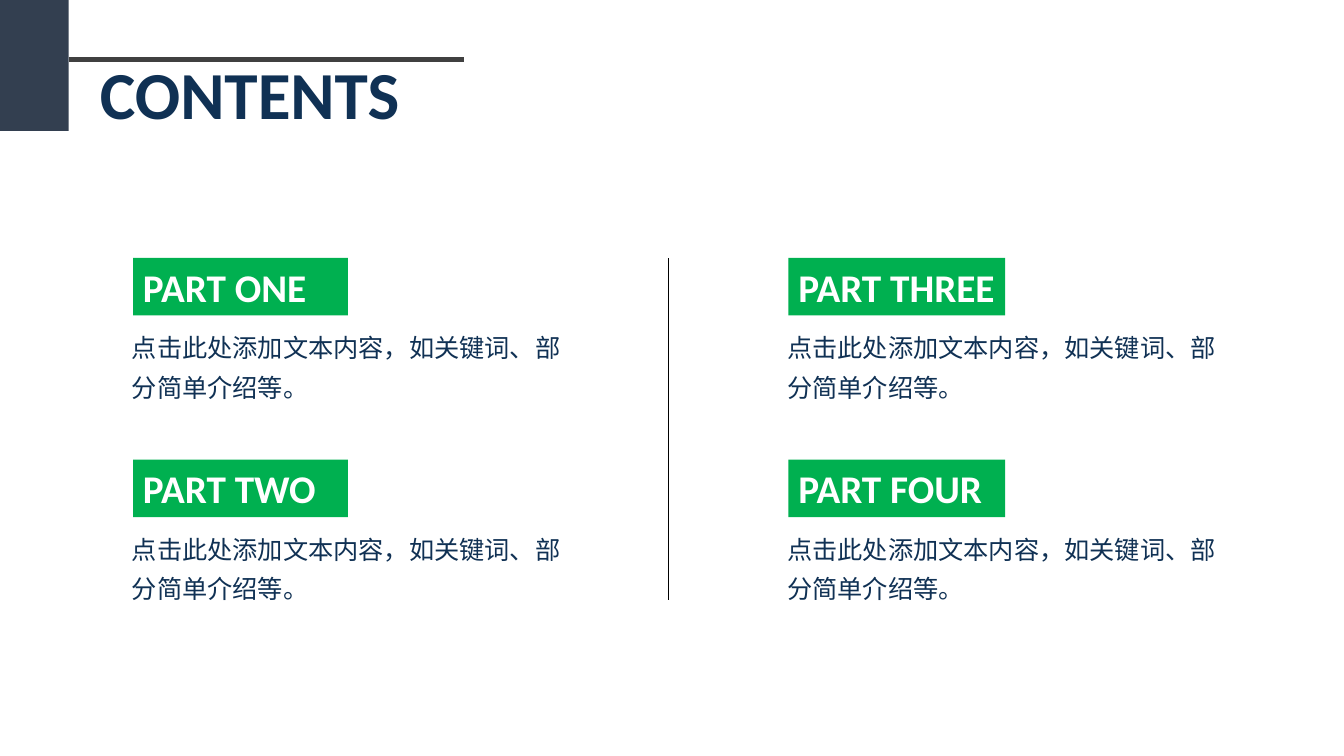
from dataclasses import dataclass

from lxml import etree
from pptx import Presentation
from pptx.dml.color import RGBColor
from pptx.enum.shapes import MSO_CONNECTOR, MSO_SHAPE
from pptx.enum.text import MSO_ANCHOR, MSO_AUTO_SIZE, PP_ALIGN
from pptx.oxml.ns import qn
from pptx.util import Inches, Pt

RECTANGLE = MSO_SHAPE.RECTANGLE
STRAIGHT = MSO_CONNECTOR.STRAIGHT
TOP = MSO_ANCHOR.TOP
LEFT = PP_ALIGN.LEFT
NO_AUTOFIT = MSO_AUTO_SIZE.NONE
TITLE_ONLY = 5


@dataclass(frozen=True)
class Theme:
    navy: str = "103154"
    green: str = "00B050"
    slate: str = "333F50"
    gray: str = "404040"
    black: str = "000000"
    white: str = "FFFFFF"
    latin_font: str = "Calibri"
    chinese_font: str = "Noto Sans CJK SC"
    title_size: int = 48
    label_size: int = 28
    body_size: int = 18


THEME = Theme()
DESCRIPTION = "点击此处添加文本内容，如关键词、部分简单介绍等。"
# Each column: left edge, label width, labels from top to bottom
COLUMNS = [
    (1.32, 2.13, ["PART ONE", "PART TWO"]),
    (7.82, 2.15, ["PART THREE", "PART FOUR"]),
]
COLUMNS_TOP = 2.56
PART_PITCH = 2.0


def write_text(shape, text, size, color, font_name, bold=False):
    """Set one left-aligned paragraph, in the same font for Latin and Chinese."""
    frame = shape.text_frame
    frame.text = text
    frame.vertical_anchor = TOP
    frame.auto_size = NO_AUTOFIT
    paragraph = frame.paragraphs[0]
    paragraph.alignment = LEFT
    run = paragraph.runs[0]
    run.font.size = Pt(size)
    run.font.bold = bold
    run.font.color.rgb = RGBColor.from_string(color)
    run.font.name = font_name
    east_asian = etree.SubElement(run.font._element, qn("a:ea"))
    east_asian.set("typeface", font_name)
    return paragraph


def add_rectangle(slide, left, top, width, height, color):
    shape = slide.shapes.add_shape(
        RECTANGLE, Inches(left), Inches(top), Inches(width), Inches(height))
    shape.shadow.inherit = False
    shape.fill.solid()
    shape.fill.fore_color.rgb = RGBColor.from_string(color)
    shape.line.fill.background()
    return shape


def add_line(slide, start, end, color, width):
    line = slide.shapes.add_connector(
        STRAIGHT, *(Inches(length) for length in (*start, *end)))
    line.line.color.rgb = RGBColor.from_string(color)
    line.line.width = Pt(width)
    etree.SubElement(line._element.spPr, qn("a:effectLst"))


def add_header(slide, left, top, bar_width, bar_height):
    """Format the title beside a corner bar, under a rule."""
    title = slide.shapes.title
    title.left, title.top = Inches(left + bar_width + 0.21), Inches(top + 0.47)
    title.width, title.height = Inches(3.21), Inches(0.91)
    write_text(title, "CONTENTS", THEME.title_size, THEME.navy,
               THEME.latin_font, bold=True)
    title.text_frame.word_wrap = False

    add_rectangle(slide, left, top, bar_width, bar_height, THEME.slate)
    rule_left, rule_top = left + bar_width, top + 0.59
    add_line(slide, (rule_left, rule_top), (rule_left + 3.92, rule_top),
             THEME.gray, 3)


def add_part(slide, left, top, label_width, name):
    """Add a green label with its description below."""
    label = add_rectangle(slide, left, top, label_width, 0.57, THEME.green)
    write_text(label, name, THEME.label_size, THEME.white,
               THEME.latin_font, bold=True)
    label.text_frame.margin_right = 0

    description = slide.shapes.add_textbox(
        Inches(left - 0.11), Inches(top + 0.6), Inches(4.54), Inches(0.89))
    paragraph = write_text(description, DESCRIPTION, THEME.body_size,
                           THEME.navy, THEME.chinese_font)
    paragraph.line_spacing = 1.3
    description.text_frame.word_wrap = True


def add_contents_slide(presentation):
    slide = presentation.slides.add_slide(
        presentation.slide_layouts[TITLE_ONLY])
    add_header(slide, 0, 0, 0.68, 1.3)
    for left, label_width, names in COLUMNS:
        for row, name in enumerate(names):
            add_part(slide, left, COLUMNS_TOP + row * PART_PITCH,
                     label_width, name)
    add_line(slide, (6.63, COLUMNS_TOP), (6.63, COLUMNS_TOP + 3.39),
             THEME.black, 1)


def main():
    presentation = Presentation()
    presentation.slide_width = Inches(13.33)
    presentation.slide_height = Inches(7.5)
    add_contents_slide(presentation)
    presentation.save("out.pptx")


if __name__ == "__main__":
    main()
